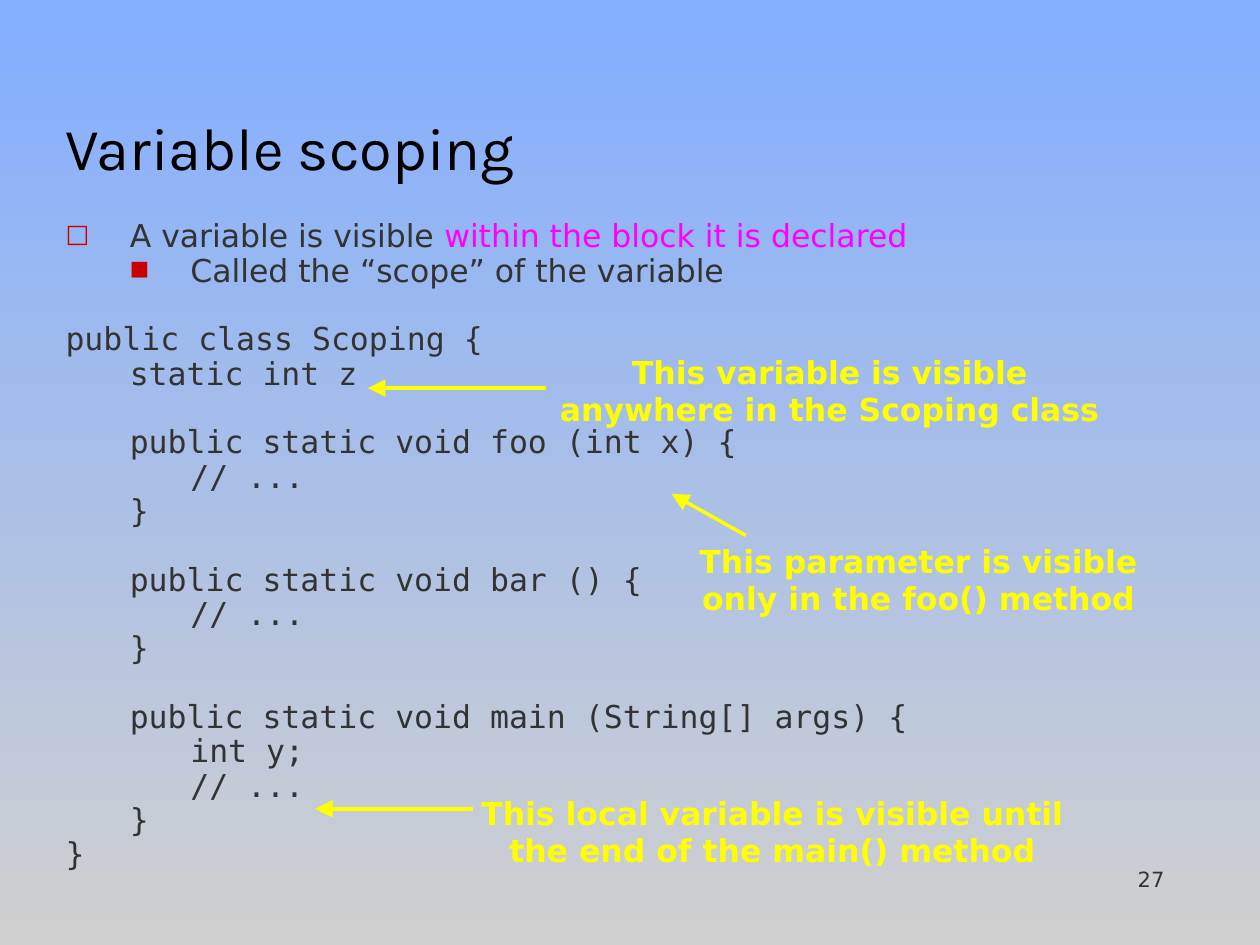
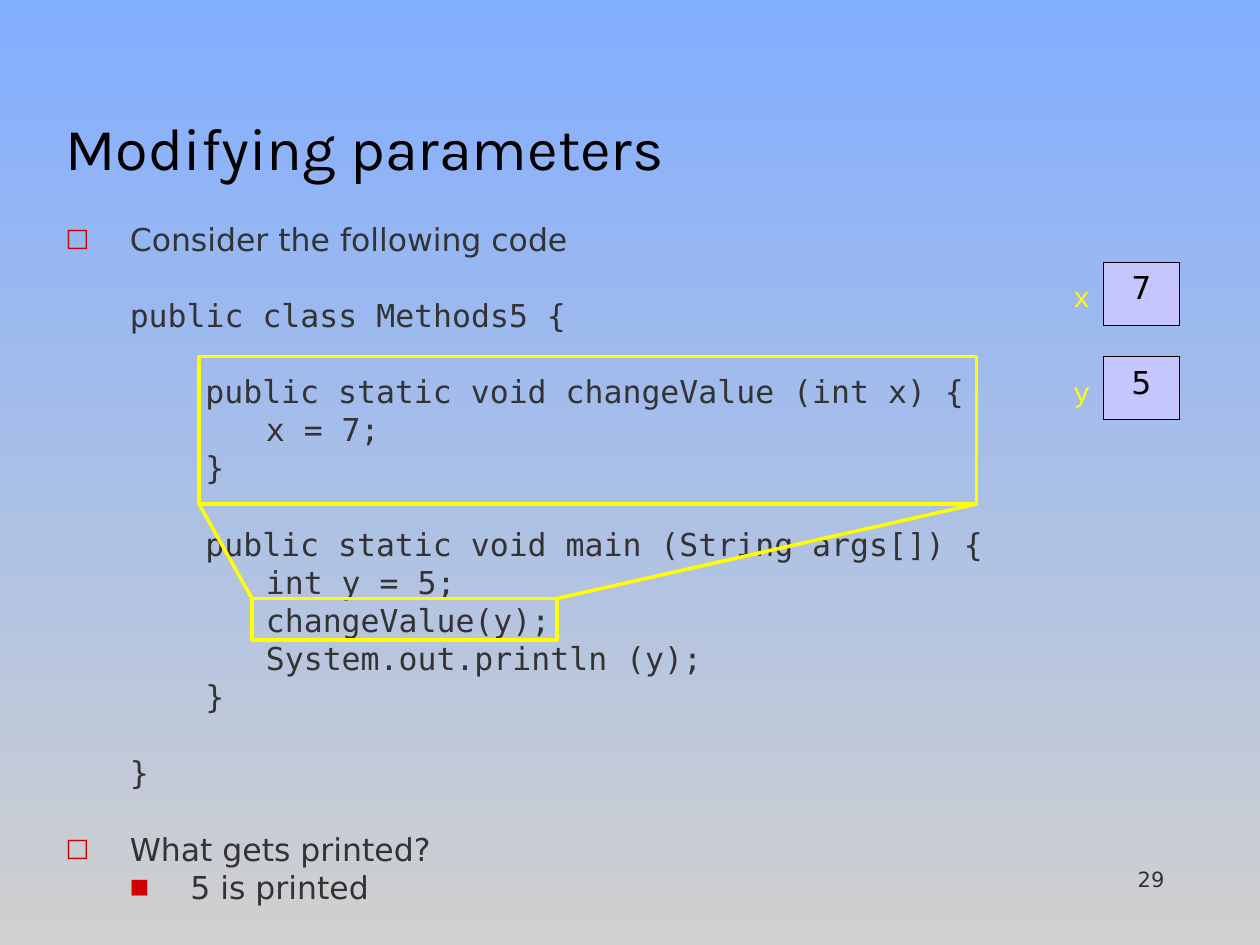
from typing import NamedTuple

from lxml import etree
from pptx import Presentation
from pptx.dml.color import RGBColor
from pptx.enum.shapes import MSO_CONNECTOR, MSO_SHAPE
from pptx.enum.text import MSO_ANCHOR, MSO_AUTO_SIZE, PP_ALIGN
from pptx.oxml.ns import qn
from pptx.util import Inches, Pt

# Shared look
SANS, MONO, HEAD, LABEL = "DejaVu Sans", "DejaVu Sans Mono", "Karla", "Courier New"
INK, BLACK, RED, PINK = "333333", "000000", "CC0000", "FF00FF"
YELLOW, LILAC, SKY, GREY = "FFFF00", "C6C6FF", "82AEFF", "D0D0D0"
SIZE, SPACE, HIGH = 18, 4.5, 1.2


class Run(NamedTuple):
    text: str
    color: str = INK
    font: str = SANS
    size: float = SIZE
    bold: bool = False


class Mark(NamedTuple):
    sign: str
    scale: int
    hang: float


class Line(NamedTuple):
    runs: list[Run]
    indent: float
    mark: Mark | None = None
    gap: bool = False


class Box(NamedTuple):
    left: float
    top: float
    width: float
    height: float


class Note(NamedTuple):
    text: str
    box: Box
    start: tuple[float, float]
    end: tuple[float, float]


class Value(NamedTuple):
    name: str
    text: str
    top: float


OPEN = Mark("□", 80, 0.51)
SOLID = Mark("■", 65, 0.48)


def point(*runs: Run, gap: bool = False) -> Line:
    return Line(list(runs), 0.51, OPEN, gap)


def sub(text: str) -> Line:
    return Line([Run(text)], 0.99, SOLID)


def code(text: str, indent: float = 0, gap: bool = False) -> Line:
    return Line([Run(text, font=MONO)], indent, gap=gap)


# Content
SCOPE = [
    point(Run("A variable is visible "), Run("within the block it is declared", PINK)),
    sub("Called the “scope” of the variable"),
    code("public class Scoping {", gap=True),
    code("static int z", 0.51),
    code("public static void foo (int x) {", 0.51, True),
    code("// ...", 0.99),
    code("}", 0.51),
    code("public static void bar () {", 0.51, True),
    code("// ...", 0.99),
    code("}", 0.51),
    code("public static void main (String[] args) {", 0.51, True),
    code("int y;", 0.99),
    code("// ...", 0.99),
    code("}", 0.51),
    code("}"),
]
NOTES = [
    Note("This variable is visible anywhere in the Scoping class",
         Box(4.25, 2.75, 4.67, 0.7), (4.33, 3.08), (2.92, 3.08)),
    Note("This parameter is visible only in the foo() method",
         Box(5.25, 4.25, 4.08, 0.7), (5.92, 4.25), (5.33, 3.92)),
    Note("This local variable is visible until the end of the main() method",
         Box(3.67, 6.25, 4.92, 0.7), (3.75, 6.42), (2.5, 6.42)),
]
PARAMS = [
    point(Run("Consider the following code")),
    code("public class Methods5 {", 0.51, True),
    code("public static void changeValue (int x) {", 1.11, True),
    code("x = 7;", 1.59),
    code("}", 1.11),
    code("public static void main (String args[]) {", 1.11, True),
    code("int y = 5;", 1.59),
    code("changeValue(y);", 1.59),
    code("System.out.println (y);", 1.59),
    code("}", 1.11),
    code("}", 0.51, True),
    point(Run("What gets printed?"), gap=True),
    sub("5 is printed"),
]
VALUES = [Value("y", "5", 2.83), Value("x", "7", 2.08)]
CALL = Box(2, 4.75, 2.42, 0.33)
METHOD = Box(1.58, 2.83, 6.17, 1.17)


# Helpers
def rgb(color: str) -> RGBColor:
    return RGBColor.from_string(color)


def place(box: Box) -> list[int]:
    return [Inches(n) for n in box]


def move(holder, box: Box) -> None:
    holder.left, holder.top, holder.width, holder.height = place(box)


def write(para, runs: list[Run], align=PP_ALIGN.LEFT) -> None:
    para.alignment = align
    for item in runs:
        run = para.add_run()
        run.text = item.text
        font = run.font
        font.name, font.size, font.bold = item.font, Pt(item.size), item.bold
        font.color.rgb = rgb(item.color)


def bullet(para, line: Line) -> None:
    props = para._p.get_or_add_pPr()
    mark = line.mark
    props.set("marL", str(Inches(line.indent)))
    props.set("indent", str(-Inches(mark.hang) if mark else 0))
    if not mark:
        etree.SubElement(props, qn("a:buNone"))
        return
    tint = etree.SubElement(props, qn("a:buClr"))
    etree.SubElement(tint, qn("a:srgbClr"), val=RED)
    etree.SubElement(props, qn("a:buSzPct"), val=str(mark.scale * 1000))
    etree.SubElement(props, qn("a:buFont"), typeface=SANS)
    etree.SubElement(props, qn("a:buChar"), char=mark.sign)


def fill_body(body, lines: list[Line], pitch: float) -> None:
    frame = body.text_frame
    frame.auto_size = MSO_AUTO_SIZE.NONE
    blank = SIZE * HIGH * pitch + SPACE
    for i, line in enumerate(lines):
        para = frame.paragraphs[0] if i == 0 else frame.add_paragraph()
        para.line_spacing = pitch
        para.space_before = Pt(SPACE + (blank if line.gap else 0))
        para.space_after = Pt(0)
        bullet(para, line)
        write(para, line.runs, PP_ALIGN.JUSTIFY)


def add_text(shapes, box: Box, run: Run, align=PP_ALIGN.CENTER, wrap: bool = True):
    frame = shapes.add_textbox(*place(box)).text_frame
    frame.word_wrap = wrap
    write(frame.paragraphs[0], [run], align)
    return frame


def add_rect(shapes, box: Box, edge: str, width: float, fill: str = ""):
    rect = shapes.add_shape(MSO_SHAPE.RECTANGLE, *place(box))
    rect.shadow.inherit = False
    rect.line.color.rgb, rect.line.width = rgb(edge), Pt(width)
    if fill:
        rect.fill.solid()
        rect.fill.fore_color.rgb = rgb(fill)
    else:
        rect.fill.background()
    return rect


def add_line(shapes, start: tuple[float, float], end: tuple[float, float],
             arrow: bool = False) -> None:
    ends = [Inches(n) for n in (*start, *end)]
    line = shapes.add_connector(MSO_CONNECTOR.STRAIGHT, *ends)
    line.line.color.rgb, line.line.width = rgb(YELLOW), Pt(2)
    if arrow:
        etree.SubElement(line.line._get_or_add_ln(), qn("a:tailEnd"),
                         type="triangle", w="lg", len="lg")
    etree.SubElement(line._element.spPr, qn("a:effectLst"))


def add_value(shapes, item: Value) -> None:
    group = shapes.add_group_shape().shapes
    cell = add_rect(group, Box(8.76, item.top, 0.6, 0.5), BLACK, 0.5, LILAC)
    cell.text_frame.vertical_anchor = MSO_ANCHOR.TOP
    write(cell.text_frame.paragraphs[0], [Run(item.text, BLACK)], PP_ALIGN.CENTER)
    frame = add_text(group, Box(8.5, item.top + 0.14, 0.17, 0.27),
                     Run(item.name, YELLOW, LABEL, 16), wrap=False)
    frame.margin_left = frame.margin_right = 0
    frame.margin_top = frame.margin_bottom = 0


def style(deck):
    """Set the background and title place once for all slides."""
    fill = deck.slide_master.background.fill
    fill.gradient()
    fill.gradient_angle = 270
    for stop, color in zip(fill.gradient_stops, (SKY, GREY)):
        stop.color.rgb = rgb(color)
    layout = deck.slide_layouts[1]
    move(layout.placeholders[0], Box(0.42, 0.17, 9, 1.33))
    return layout


def add_page(deck, layout, title: str, lines: list[Line], pitch: float,
             height: float, number: int):
    slide = deck.slides.add_slide(layout)
    frame = slide.shapes.title.text_frame
    frame.vertical_anchor = MSO_ANCHOR.BOTTOM
    frame.auto_size = MSO_AUTO_SIZE.NONE
    write(frame.paragraphs[0], [Run(title, BLACK, HEAD, 34)])
    body = slide.placeholders[1]
    move(body, Box(0.42, 1.75, 9.42, height))
    fill_body(body, lines, pitch)
    add_text(slide.shapes, Box(7.17, 6.83, 2.17, 0.52), Run(str(number), size=12),
             PP_ALIGN.RIGHT)
    return slide.shapes


def main() -> None:
    deck = Presentation()
    deck.slide_width, deck.slide_height = Inches(10), Inches(7.5)
    layout = style(deck)

    # Scoping: code with arrows and notes
    shapes = add_page(deck, layout, "Variable scoping", SCOPE, 0.7, 5.75, 27)
    for note in NOTES:
        add_line(shapes, note.start, note.end, arrow=True)
        frame = add_text(shapes, note.box, Run(note.text, YELLOW, bold=True))
        frame.auto_size = MSO_AUTO_SIZE.SHAPE_TO_FIT_TEXT

    # Parameters: values, and the call zoomed to its method
    shapes = add_page(deck, layout, "Modifying parameters", PARAMS, 0.8, 5.58, 29)
    for item in VALUES:
        add_value(shapes, item)
    for box in (CALL, METHOD):
        add_rect(shapes, box, YELLOW, 2)
    base = METHOD.top + METHOD.height
    for side in (0, 1):
        add_line(shapes, (CALL.left + side * CALL.width, CALL.top),
                 (METHOD.left + side * METHOD.width, base))

    deck.save("out.pptx")


if __name__ == "__main__":
    main()
